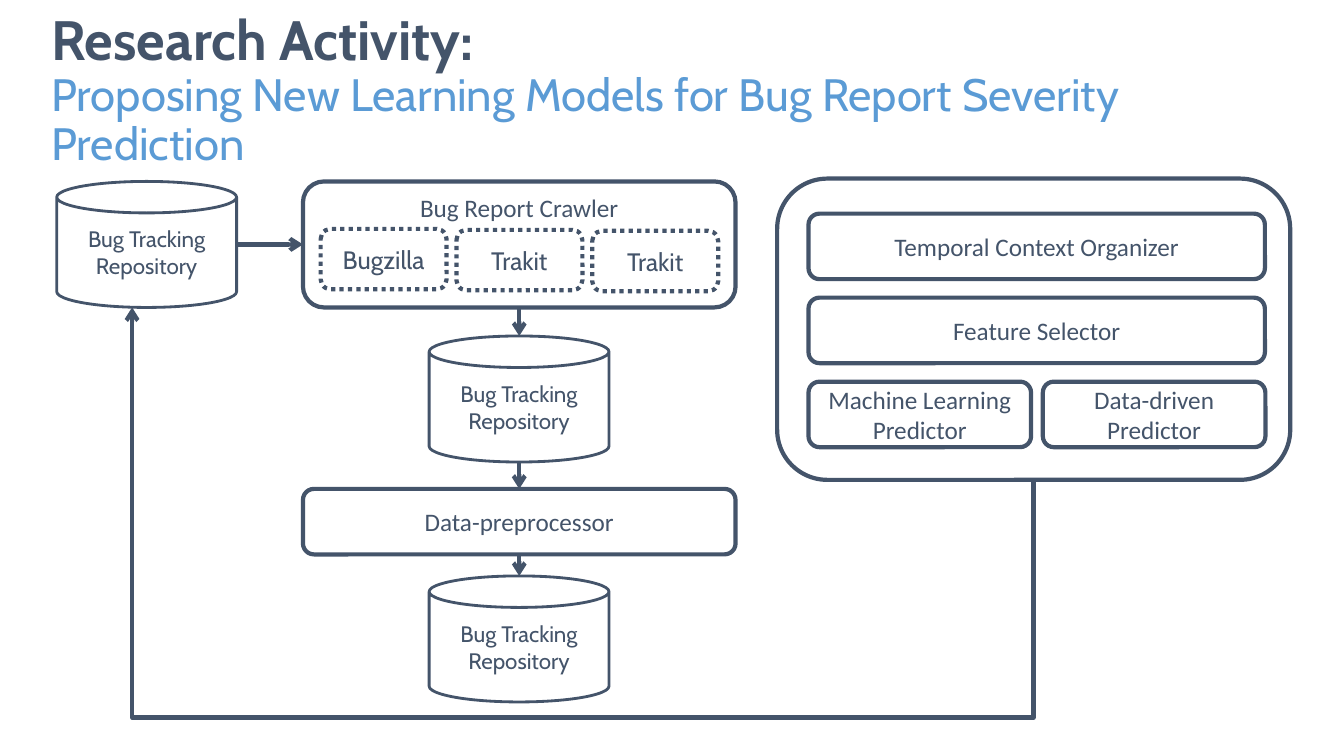
from lxml.etree import SubElement
from pptx import Presentation
from pptx.dml.color import RGBColor
from pptx.enum.dml import MSO_LINE
from pptx.enum.shapes import MSO_CONNECTOR, MSO_SHAPE
from pptx.enum.text import MSO_ANCHOR, MSO_AUTO_SIZE, PP_ALIGN
from pptx.oxml.ns import qn
from pptx.util import Pt

SLATE = RGBColor(0x44, 0x54, 0x6A)
BLUE = RGBColor(0x5B, 0x9B, 0xD5)
WHITE = RGBColor(0xFF, 0xFF, 0xFF)

presentation = Presentation()
presentation.slide_width = Pt(960)
presentation.slide_height = Pt(540)
slide = presentation.slides.add_slide(presentation.slide_layouts[5])


def add_box(text, left, top, width, height, kind=MSO_SHAPE.ROUNDED_RECTANGLE,
            font="Calibri", size=18, weight=3, dash=None, anchor=MSO_ANCHOR.MIDDLE):
    shape = slide.shapes.add_shape(kind, Pt(left), Pt(top), Pt(width), Pt(height))
    shape.shadow.inherit = False
    shape.fill.solid()
    shape.fill.fore_color.rgb = WHITE
    shape.line.color.rgb = SLATE
    shape.line.width = Pt(weight)
    if dash:
        shape.line.dash_style = dash
    shape.text_frame.text = text
    shape.text_frame.vertical_anchor = anchor
    for paragraph in shape.text_frame.paragraphs:
        paragraph.alignment = PP_ALIGN.CENTER
        paragraph.font.name = font
        paragraph.font.size = Pt(size)
        paragraph.font.color.rgb = SLATE
    return shape


def style_arrow(shape):
    shape.line.color.rgb = SLATE
    shape.line.width = Pt(3)
    properties = shape._element.spPr
    SubElement(properties.find(qn("a:ln")), qn("a:tailEnd"), type="arrow")
    SubElement(properties, qn("a:effectLst"))


title = slide.shapes.title
title.left, title.top, title.width, title.height = Pt(29.5), Pt(28.8), Pt(919.4), Pt(73.4)
title.text_frame.word_wrap = True
title.text_frame.auto_size = MSO_AUTO_SIZE.NONE
title.text_frame.vertical_anchor = MSO_ANCHOR.MIDDLE
heading = title.text_frame.paragraphs[0]
heading.alignment = PP_ALIGN.LEFT
heading.line_spacing = 0.9
for text, size, color, bold in [
    ("Research Activity:", 39.6, SLATE, True),
    ("Proposing New Learning Models for Bug Report Severity Prediction", 32.4, BLUE, False),
]:
    if heading.runs:
        heading.add_line_break()
    run = heading.add_run()
    run.text = text
    run.font.name = "Cabin"
    run.font.size = Pt(size)
    run.font.color.rgb = color
    run.font.bold = bold

for left, top in [(40.5, 129.6), (306.5, 240), (306.5, 411.4)]:
    add_box("Bug Tracking Repository", left, top, 128.5, 90,
            kind=MSO_SHAPE.CAN, font="Cabin", size=16, weight=2)

crawler = add_box("Bug Report Crawler", 216.4, 129.6, 309, 90, anchor=MSO_ANCHOR.TOP)
for column, source in enumerate(["Bugzilla", "Trakit", "Trakit"]):
    add_box(source, 229 + 97 * column, 163.5 + 0.7 * column, 90, 43.2,
            font="Cabin", dash=MSO_LINE.ROUND_DOT)
preprocessor = add_box("Data-preprocessor", 216.4, 349.2, 309, 46.8)

add_box("", 555.1, 127.6, 366.5, 215.2)
for text, left, row, width in [
    ("Temporal Context Organizer", 577.5, 0, 326),
    ("Feature Selector", 577.5, 1, 326),
    ("Machine Learning\nPredictor", 577.5, 2, 159),
    ("Data-driven\nPredictor", 744.9, 2, 159),
]:
    add_box(text, left, 152.6 + 60 * row, width, 46.8)

for start, end, source, source_side, target, target_side in [
    ((169, 174.6), (216.4, 174.6), None, None, crawler, 1),
    ((370.9, 219.6), (370.9, 240), crawler, 2, None, None),
    ((370.9, 330), (370.9, 349.2), None, None, preprocessor, 0),
    ((370.9, 396), (370.9, 411.4), preprocessor, 2, None, None),
]:
    arrow = slide.shapes.add_connector(
        MSO_CONNECTOR.STRAIGHT, *(Pt(value) for value in start + end))
    if source:
        arrow.begin_connect(source, source_side)
    if target:
        arrow.end_connect(target, target_side)
    style_arrow(arrow)

route = slide.shapes.build_freeform(Pt(738.2), Pt(342.8))
route.add_line_segments(
    [(Pt(x), Pt(y)) for x, y in [(738.2, 512.6), (94.4, 512.6), (94.4, 219.6)]], close=False)
feedback = route.convert_to_shape()
feedback.fill.background()
style_arrow(feedback)

presentation.save("out.pptx")
